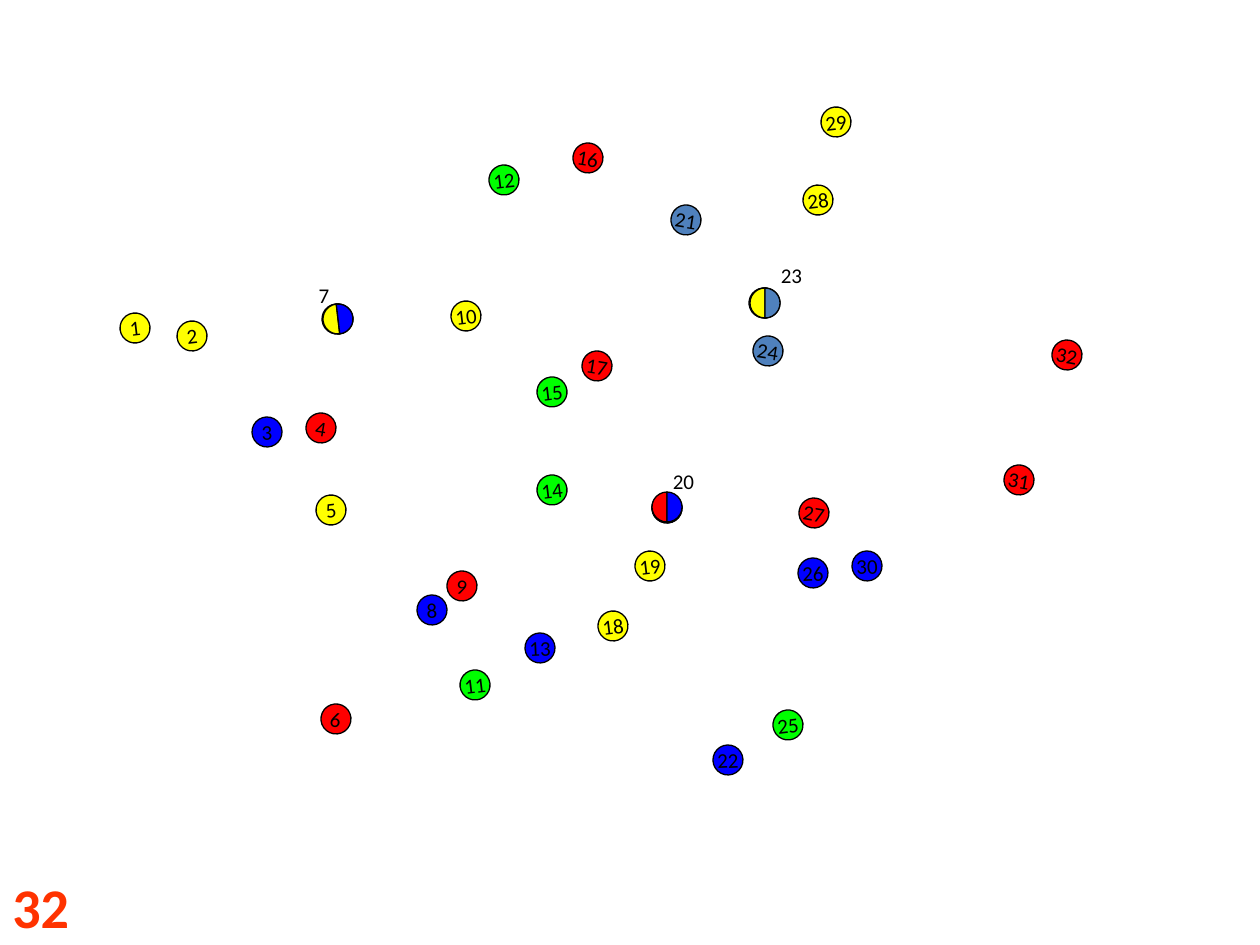
import pptx
import pptx.util
import pptx.dml.color
import pptx.enum.shapes
import pptx.enum.text

SHAPE = pptx.enum.shapes.MSO_SHAPE
ALIGN = pptx.enum.text.PP_ALIGN
PX = 914400 // 126
DIAMETER = 30

STEEL, RED, GREEN = "4F81BD", "FF0000", "00FF00"
BLUE, YELLOW, BLACK = "0000FF", "FFFF00", "000000"

# (colour, rotation, [(label, centre x, centre y)]); shared points carry no label
DOT_SETS = [
    (STEEL, 8.7, [("21", 686, 220), ("", 764, 303), ("24", 768, 351)]),
    (RED, 9.6, [("4", 321, 428), ("6", 336, 719), ("9", 462, 586),
                ("", 667, 508), ("17", 597, 366), ("16", 588, 158),
                ("27", 814, 513), ("31", 1019, 480), ("32", 1067, 355)]),
    (GREEN, 353.1, [("12", 504, 180), ("14", 552, 490), ("15", 552, 392),
                    ("11", 475, 685), ("25", 788, 725)]),
    (BLUE, 357.6, [("3", 267, 432), ("", 338, 319), ("", 667, 508),
                   ("26", 813, 573), ("30", 867, 566), ("22", 728, 760),
                   ("8", 432, 610), ("13", 540, 648)]),
    (YELLOW, 353.3, [("1", 135, 328), ("2", 192, 336), ("", 337, 319),
                     ("10", 466, 316), ("28", 818, 200), ("29", 836, 122),
                     ("", 765, 303), ("19", 650, 566), ("18", 613, 626),
                     ("5", 331, 510)]),
]
# (centre x, centre y, tilt, left colour, right colour)
SPLIT_DOTS = [
    (338, 319, -6.7, YELLOW, BLUE),
    (667, 507, 0, RED, BLUE),
    (765, 303, 0, YELLOW, STEEL),
]
# (text, left, top, width, height, size, colour, bold, alignment)
CAPTIONS = [
    ("32", 0, 866, 87, 79, 32, "FF3300", True, ALIGN.LEFT),
    ("7", 305, 276, 38, 38, 12, BLACK, False, ALIGN.CENTER),
    ("20", 659, 462, 49, 38, 12, BLACK, False, ALIGN.CENTER),
    ("23", 767, 256, 49, 38, 12, BLACK, False, ALIGN.CENTER),
]


def rgb(color):
    return pptx.dml.color.RGBColor.from_string(color)


def write(s, text, size=12, color=BLACK, bold=False, align=ALIGN.CENTER):
    tf = s.text_frame
    tf.word_wrap = False
    tf.text = text
    p = tf.paragraphs[0]
    p.alignment = align
    for r in p.runs:
        r.font.name = "Calibri"
        r.font.size = pptx.util.Pt(size)
        r.font.bold = bold
        r.font.color.rgb = rgb(color)


def add_dot(shapes, kind, x, y, color, rotation):
    """Add a dot-sized shape centred on x, y."""
    s = shapes.add_shape(kind, (x - DIAMETER // 2) * PX, (y - DIAMETER // 2) * PX,
                         DIAMETER * PX, DIAMETER * PX)
    s.rotation = rotation % 360
    s.shadow.inherit = False
    s.fill.solid()
    s.fill.fore_color.rgb = rgb(color)
    s.line.color.rgb = rgb(BLACK)
    s.line.width = pptx.util.Pt(0.75)
    return s


def main():
    prs = pptx.Presentation()
    prs.slide_width = pptx.util.Inches(10)
    prs.slide_height = pptx.util.Inches(7.5)
    shapes = prs.slides.add_slide(prs.slide_layouts[6]).shapes

    for color, rotation, dots in DOT_SETS:
        for label, x, y in dots:
            s = add_dot(shapes, SHAPE.OVAL, x, y, color, rotation)
            if label:
                s.text_frame.vertical_anchor = pptx.enum.text.MSO_ANCHOR.MIDDLE
                write(s, label)

    for x, y, tilt, left, right in SPLIT_DOTS:
        for color, turn in ((left, 270), (right, 90)):
            half = add_dot(shapes, SHAPE.BLOCK_ARC, x, y, color, turn + tilt)
            half.adjustments[2] = 0.5  # thick enough to close the hole

    for text, left, top, width, height, size, color, bold, align in CAPTIONS:
        s = shapes.add_textbox(left * PX, top * PX, width * PX, height * PX)
        write(s, text, size, color, bold, align)
        s.text_frame.auto_size = pptx.enum.text.MSO_AUTO_SIZE.SHAPE_TO_FIT_TEXT

    prs.save("out.pptx")


if __name__ == "__main__":
    main()
